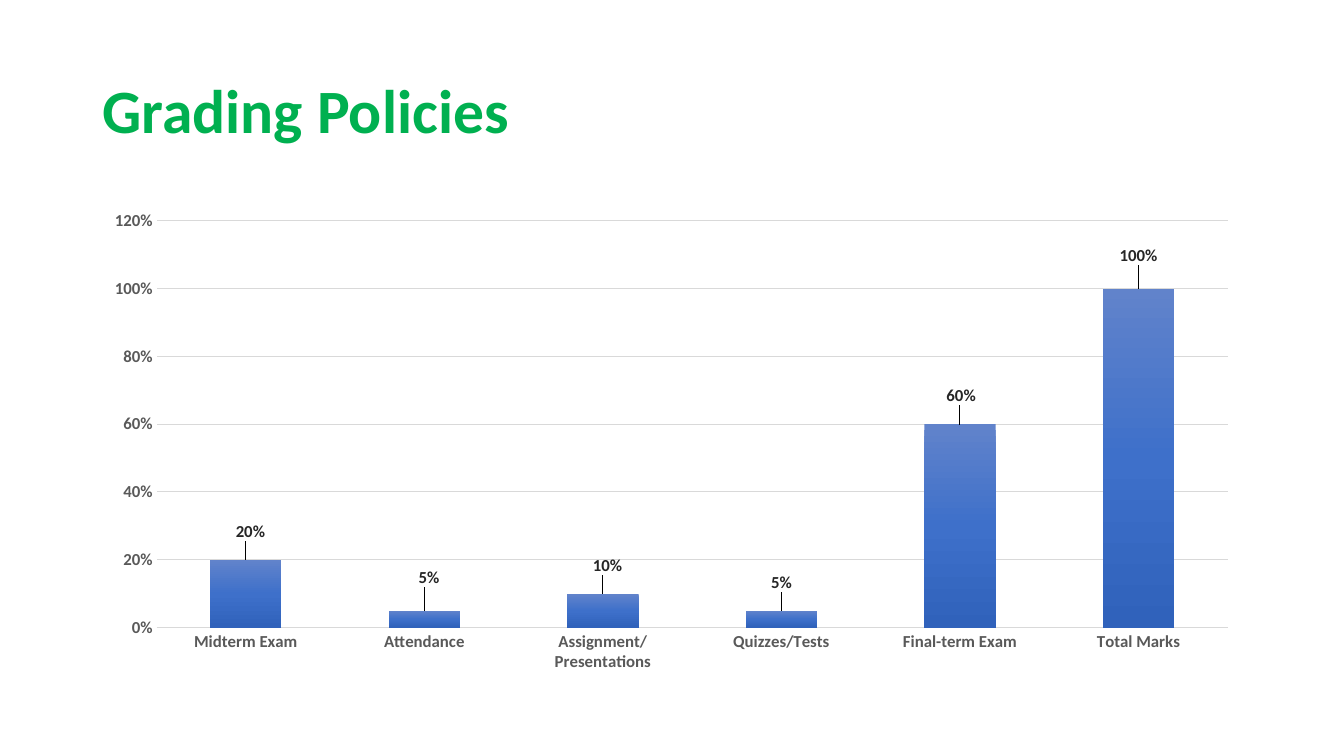
from copy import deepcopy

from lxml import etree
from pptx import Presentation
from pptx.chart.data import CategoryChartData
from pptx.dml.color import RGBColor
from pptx.enum.chart import XL_CHART_TYPE, XL_LABEL_POSITION, XL_TICK_MARK
from pptx.enum.text import MSO_ANCHOR
from pptx.oxml.ns import qn
from pptx.util import Inches, Pt

COLUMNS = XL_CHART_TYPE.COLUMN_CLUSTERED
OUTSIDE_END = XL_LABEL_POSITION.OUTSIDE_END
NO_TICK = XL_TICK_MARK.NONE
MIDDLE = MSO_ANCHOR.MIDDLE

TITLE = "Grading Policies"
# category, share of marks, label shift (x, y) as a fraction of the chart
GRADES = [
    ("Midterm Exam", 0.2, (0.004, -0.03)),
    ("Attendance", 0.05, (0.004, -0.04)),
    ("Assignment/Presentations", 0.1, (0.004, -0.03)),
    ("Quizzes/Tests", 0.05, (0, -0.03)),
    ("Final-term Exam", 0.6, (0.001, -0.03)),
    ("Total Marks", 1, (0, -0.04)),
]
TITLE_BOX = (0.92, 0.4, 11.5, 1.45)
CHART_BOX = (0.92, 2, 11.5, 4.76)
PLOT_AREA = {"x": 0.055, "y": 0.04, "w": 0.924, "h": 0.848}

THEME = {
    "font": "Calibri",
    "title": ("00B050", 44),
    "axis": ("595959", 12),
    "label": ("262626", 12),
    "line": "D9D9D9",
    "bar": [(0, "6183CB"), (0.5, "3E70CA"), (1, "3062BB")],
}


def set_font(font, role):
    color, size = THEME[role]
    values = {"name": THEME["font"], "size": Pt(size), "bold": True}
    for name, value in values.items():
        setattr(font, name, value)
    font.color.rgb = RGBColor.from_string(color)


def set_line(line, width):
    line.color.rgb = RGBColor.from_string(THEME["line"])
    line.width = Pt(width)


def manual_layout(values):
    """Return a c:layout element holding the given settings in order."""
    layout = etree.Element(qn("c:layout"))
    manual = etree.SubElement(layout, qn("c:manualLayout"))
    for name, value in values.items():
        etree.SubElement(manual, qn(f"c:{name}")).set("val", str(value))
    return layout


def add_title(slide):
    tf = slide.shapes.add_textbox(*map(Inches, TITLE_BOX)).text_frame
    tf.word_wrap = True
    tf.vertical_anchor = MIDDLE
    p = tf.paragraphs[0]
    p.line_spacing = 0.9
    r = p.add_run()
    r.text = TITLE
    set_font(r.font, "title")


def style_axes(chart):
    for axis in (chart.category_axis, chart.value_axis):
        axis.major_tick_mark = axis.minor_tick_mark = NO_TICK
        set_font(axis.tick_labels.font, "axis")
    set_line(chart.category_axis.format.line, 1)

    axis = chart.value_axis
    axis.minimum_scale, axis.maximum_scale, axis.major_unit = 0, 1.2, 0.2
    axis.format.line.fill.background()
    axis.has_major_gridlines = True
    set_line(axis.major_gridlines.format.line, 0.75)
    axis.tick_labels.number_format = "0%"
    axis.tick_labels.number_format_is_linked = False


def fill_bars(series):
    fill = series.format.fill
    fill.gradient()
    fill.gradient_angle = 270
    stops = next(series.format._element.iter(qn("a:gsLst")))
    stops.append(deepcopy(stops[-1]))
    for stop, (position, color) in zip(fill.gradient_stops, THEME["bar"]):
        stop.position = position
        stop.color.rgb = RGBColor.from_string(color)


def label_bars(series):
    labels = series.data_labels
    labels.show_value = True
    labels.number_format = "0%"
    labels.number_format_is_linked = False
    labels.position = OUTSIDE_END
    set_font(labels.font, "label")
    for i, (_, _, (dx, dy)) in enumerate(GRADES):
        label = series.points[i].data_label
        set_font(label.font, "label")
        label.position = OUTSIDE_END
    for element, (_, _, (dx, dy)) in zip(
            series._element.iter(qn("c:dLbl")), GRADES):
        element.insert(1, manual_layout({"x": dx, "y": dy}))


def add_grades_chart(slide):
    data = CategoryChartData(number_format="0%")
    data.categories = [name for name, _, _ in GRADES]
    data.add_series("Series 1", [share for _, share, _ in GRADES])
    chart = slide.shapes.add_chart(
        COLUMNS, *map(Inches, CHART_BOX), data).chart
    chart.has_legend = chart.has_title = False
    set_font(chart.font, "axis")

    plot = chart.plots[0]
    plot.gap_width = 150
    plot.vary_by_categories = False
    style_axes(chart)
    fill_bars(plot.series[0])
    label_bars(plot.series[0])

    area = next(chart._chartSpace.iter(qn("c:plotArea")))
    for old in area.findall(qn("c:layout")):
        area.remove(old)
    modes = {"layoutTarget": "inner", "xMode": "edge", "yMode": "edge"}
    area.insert(0, manual_layout({**modes, **PLOT_AREA}))


def main():
    prs = Presentation()
    prs.slide_width, prs.slide_height = Inches(13.33), Inches(7.5)
    slide = prs.slides.add_slide(prs.slide_layouts[6])
    add_title(slide)
    add_grades_chart(slide)
    prs.save("out.pptx")


if __name__ == "__main__":
    main()
